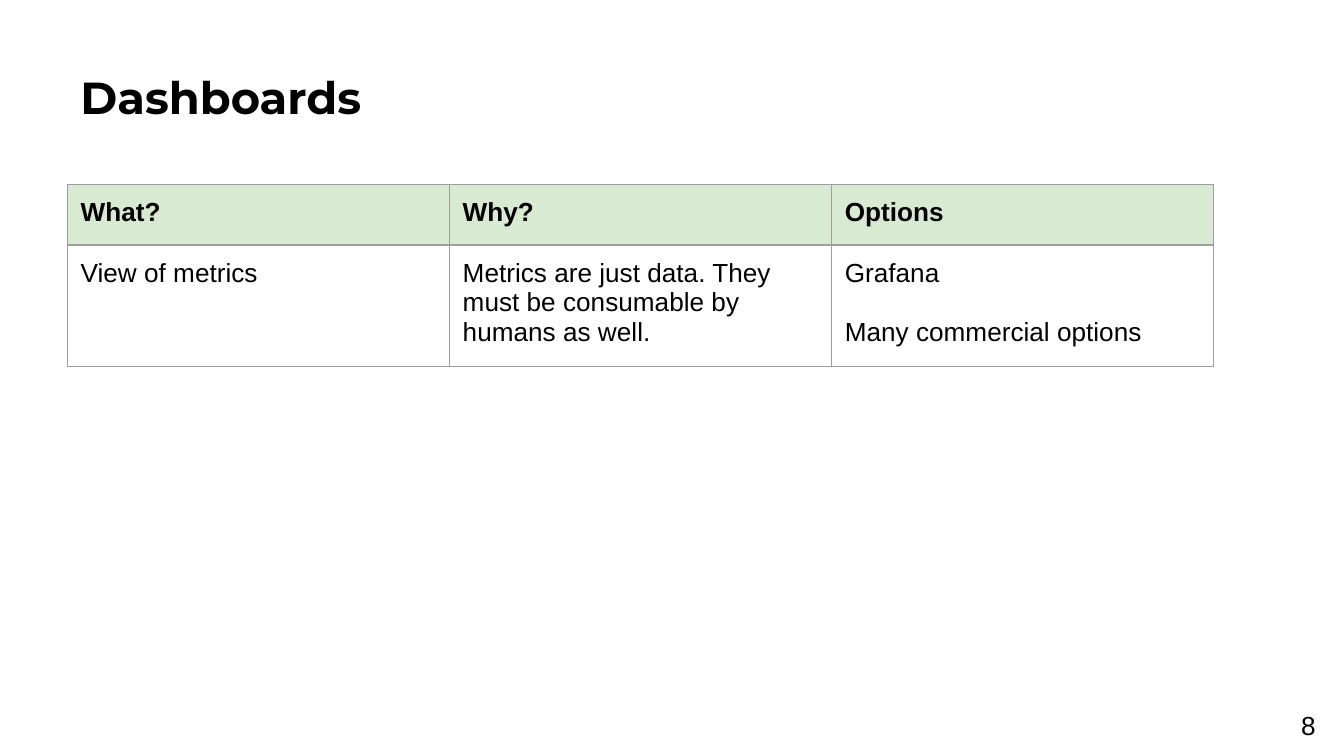
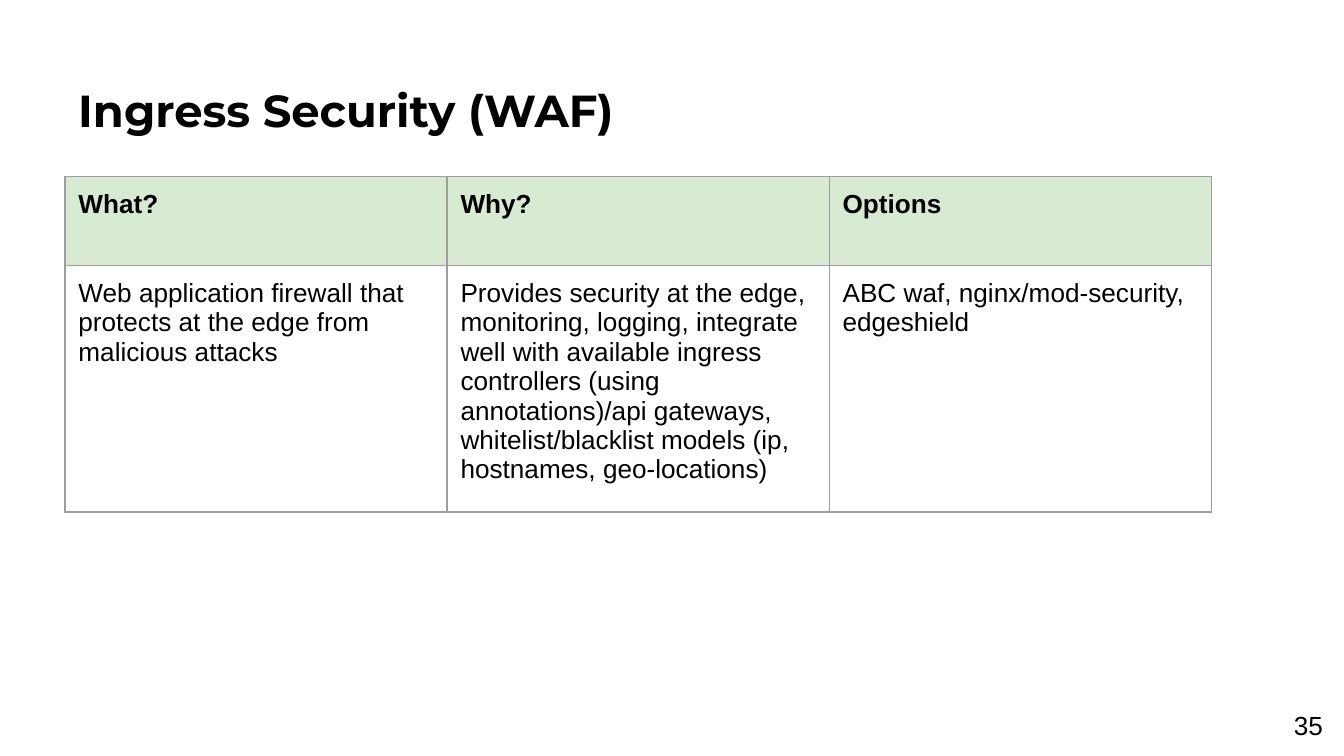
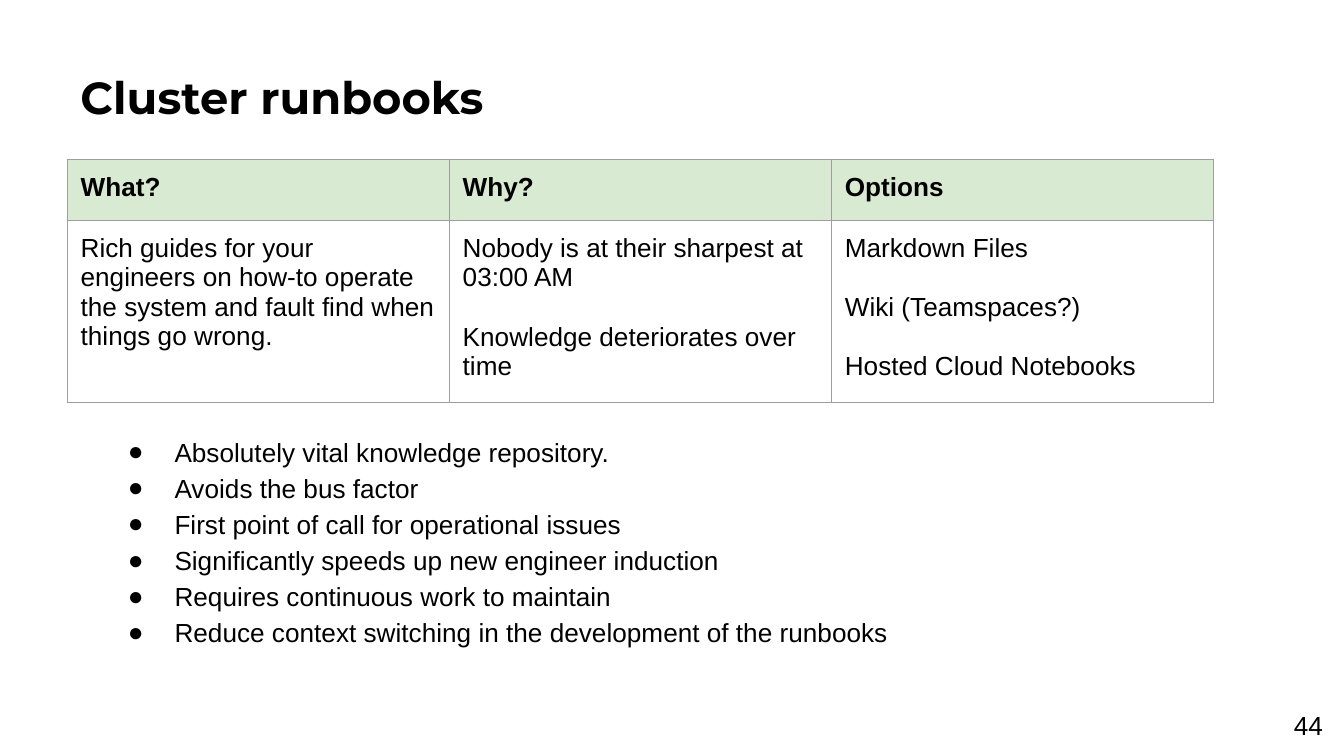
"""Build three slides that each sum up one cluster practice in a table."""
from lxml import etree
from pptx import Presentation
from pptx.dml.color import RGBColor
from pptx.enum.text import MSO_ANCHOR, PP_ALIGN
from pptx.oxml.ns import qn
from pptx.util import Pt

TOP, MID = MSO_ANCHOR.TOP, MSO_ANCHOR.MIDDLE
LEFT, MIDDLE = PP_ALIGN.LEFT, PP_ALIGN.CENTER
BLACK, GREEN, GREY = "000000", "D9EAD3", "9E9E9E"
WIDE, HIGH = 720, 405
INSET, GAP, COL = 7.2, 16, 204.7
HEADS = ["What?", "Why?", "Options"]
TITLE = {"name": "Montserrat", "size": Pt(24), "bold": True}
BODY = {"name": "Arial", "size": Pt(14), "bold": False}
HEAD = {**BODY, "bold": True}

SLIDES = [
    {
        "title": "Dashboards", "page": "8", "left": 36, "top": 30,
        "table": 98.7, "rows": (32.6, 31.7), "gap": GAP,
        "cells": [
            ["View of metrics"],
            ["Metrics are just data. They must be consumable by humans as well."],
            ["Grafana", "Many commercial options"],
        ],
    },
    {
        "title": "Ingress Security (WAF)", "page": "35", "left": 34.8, "top": 37.2,
        "table": 94.5, "rows": (47.7, 128.2), "gap": 0,
        "cells": [
            ["Web application firewall that protects at the edge from malicious attacks"],
            ["Provides security at the edge, monitoring, logging, integrate well with "
             "available ingress controllers (using annotations)/api gateways, "
             "whitelist/blacklist models (ip, hostnames, geo-locations)"],
            ["ABC waf, nginx/mod-security,", "edgeshield"],
        ],
    },
    {
        "title": "Cluster runbooks", "page": "44", "left": 36, "top": 30,
        "table": 85.4, "rows": (32.6, 31.7), "gap": GAP,
        "cells": [
            ["Rich guides for your engineers on how-to operate the system and "
             "fault find when things go wrong."],
            ["Nobody is at their sharpest at 03:00 AM", "Knowledge deteriorates over time"],
            ["Markdown Files", "Wiki (Teamspaces?)", "Hosted Cloud Notebooks"],
        ],
        "points": [
            "Absolutely vital knowledge repository.",
            "Avoids the bus factor",
            "First point of call for operational issues",
            "Significantly speeds up new engineer induction",
            "Requires continuous work to maintain",
            "Reduce context switching in the development of the runbooks",
        ],
    },
]


def paint(color, code):
    color.rgb = RGBColor.from_string(code)


def add_node(parent, tag, **attrs):
    node = etree.SubElement(parent, qn(tag))
    for key, value in attrs.items():
        node.set(key, str(value))
    return node


def add_bullet(para):
    props = para._p.get_or_add_pPr()
    props.set("marL", str(Pt(36)))
    props.set("indent", str(Pt(-25)))
    add_node(add_node(props, "a:buClr"), "a:srgbClr", val=BLACK)
    add_node(props, "a:buFont", typeface="Arial")
    add_node(props, "a:buChar", char="●")
    para.line_spacing = 1.15


def write(frame, lines, style, align=LEFT, gap=0, bullet=False):
    for num, line in enumerate(lines):
        para = frame.add_paragraph() if num else frame.paragraphs[0]
        if bullet:
            add_bullet(para)
        para.alignment = align
        if num and gap:
            para.space_before = Pt(gap)
        run = para.add_run()
        run.text = line
        for key, value in style.items():
            setattr(run.font, key, value)
        paint(run.font.color, BLACK)


def pad(item):
    for side in ("left", "top", "right", "bottom"):
        setattr(item, "margin_" + side, Pt(INSET))


def add_text(slide, place, lines, style, anchor=TOP, **look):
    frame = slide.shapes.add_textbox(*map(Pt, place)).text_frame
    frame.word_wrap = True
    frame.vertical_anchor = anchor
    pad(frame)
    write(frame, lines, style, **look)


def add_edges(cell):
    props = cell._tc.get_or_add_tcPr()
    for side in "LRTB":
        edge = add_node(props, "a:ln" + side, w=Pt(0.75))
        add_node(add_node(edge, "a:solidFill"), "a:srgbClr", val=GREY)


def add_grid(slide, data):
    rows = data["rows"]
    place = data["left"], data["table"], COL * len(HEADS), sum(rows)
    table = slide.shapes.add_table(len(rows), len(HEADS), *map(Pt, place)).table
    table.first_row = table.horz_banding = False
    for row, high in zip(table.rows, rows):
        row.height = Pt(high)
    for col, (head, lines) in enumerate(zip(HEADS, data["cells"])):
        table.columns[col].width = Pt(COL)
        for row, (text, style) in enumerate([([head], HEAD), (lines, BODY)]):
            cell = table.cell(row, col)
            pad(cell)
            add_edges(cell)
            if row:
                cell.fill.background()
            else:
                cell.fill.solid()
                paint(cell.fill.fore_color, GREEN)
            write(cell.text_frame, text, style, gap=data["gap"])


def main():
    deck = Presentation()
    deck.slide_width, deck.slide_height = Pt(WIDE), Pt(HIGH)
    for data in SLIDES:
        slide = deck.slides.add_slide(deck.slide_layouts[6])
        add_text(slide, (data["left"], data["top"], 650, 47), [data["title"]], TITLE)
        add_text(slide, (683.3, 373, 35.3, 31), [data["page"]], BODY, MID, align=MIDDLE)
        add_grid(slide, data)
        if "points" in data:
            add_text(slide, (50.4, 224, 553.7, 136.8), data["points"], BODY, bullet=True)
    deck.save("out.pptx")


if __name__ == "__main__":
    main()
